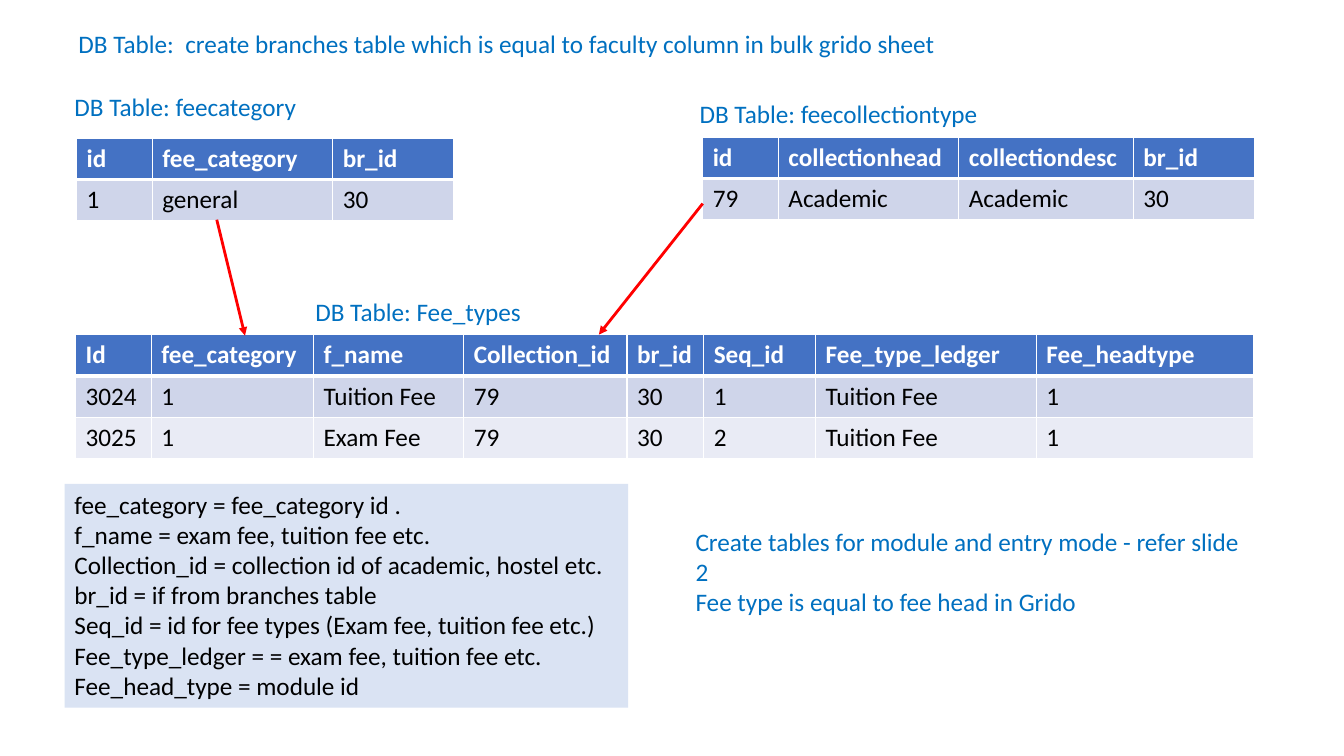
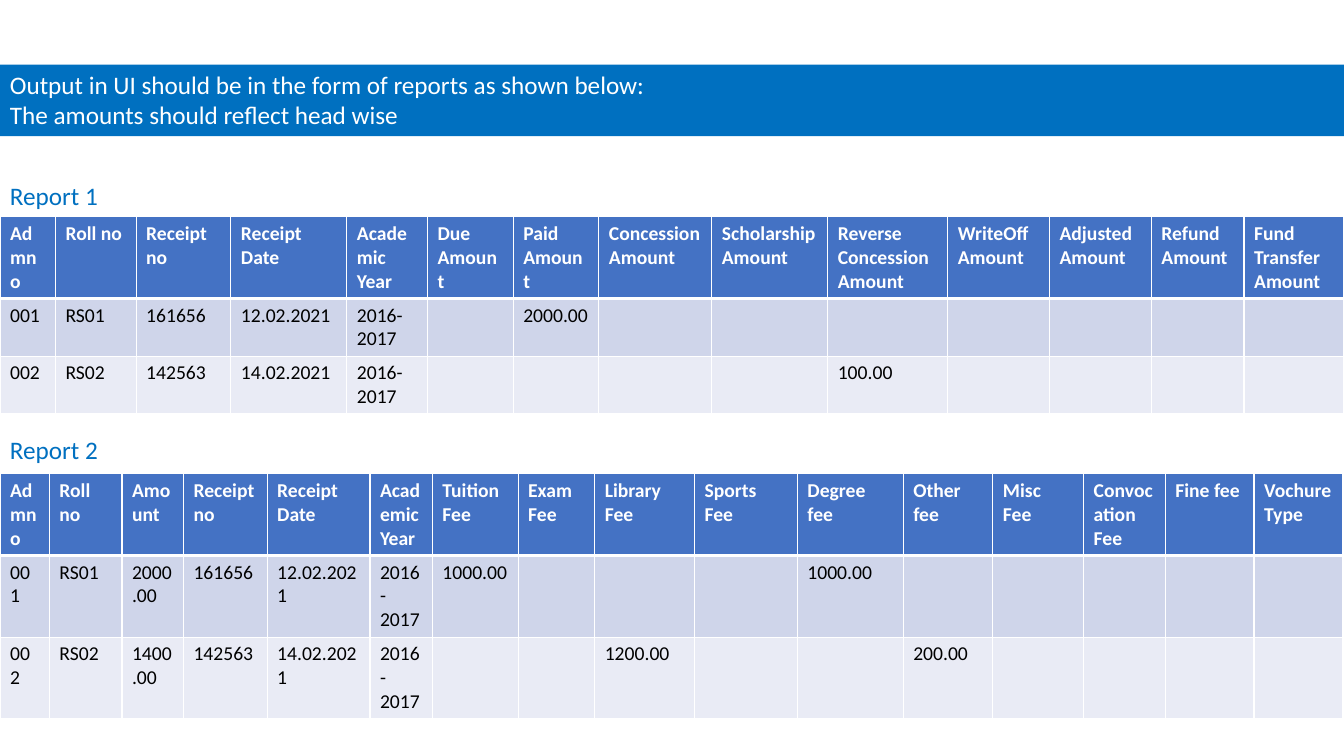
from lxml.etree import SubElement
from pptx import Presentation
from pptx.dml.color import RGBColor
from pptx.enum.shapes import MSO_CONNECTOR
from pptx.enum.text import MSO_ANCHOR, MSO_AUTO_SIZE
from pptx.oxml.ns import qn
from pptx.util import Inches, Pt

COLORS = {
    "white": "FFFFFF", "black": "000000", "blue": "0070C0", "pale": "DAE3F3",
    "header": "4472C4", "odd": "CFD5EA", "even": "E9EBF5", "arrow": "FF0000",
}
FONT = "Calibri"
HEADER_FORMAT = {"color": "white", "bold": True}
BODY_FORMAT = {"color": "black", "bold": False}
MIDDLE = MSO_ANCHOR.MIDDLE
ROW = 0.41

SCHEMA = {
    "tables": [
        {"left": 0.75, "top": 3.32, "heights": [ROW] * 3,
         "widths": [0.75, 1.61, 1.49, 1.62, 0.76, 1.11, 2.19, 2.15],
         "rows": [
             ["Id", "fee_category", "f_name", "Collection_id", "br_id", "Seq_id",
              "Fee_type_ledger", "Fee_headtype"],
             ["3024", "1", "Tuition Fee", "79", "30", "1", "Tuition Fee", "1"],
             ["3025", "1", "Exam Fee", "79", "30", "2", "Tuition Fee", "1"]]},
        {"left": 6.97, "top": 1.36, "heights": [ROW] * 2, "anchor": MIDDLE,
         "widths": [0.75, 1.79, 1.73, 1.2],
         "rows": [["id", "collectionhead", "collectiondesc", "br_id"],
                  ["79", "Academic", "Academic", "30"]]},
        {"left": 0.76, "top": 1.37, "heights": [ROW] * 2, "anchor": MIDDLE,
         "widths": [0.75, 1.79, 1.2],
         "rows": [["id", "fee_category", "br_id"], ["1", "general", "30"]]},
    ],
    "texts": [
        {"at": (3.03, 2.89, 2.3, 0.4), "lines": ["DB Table: Fee_types"]},
        {"at": (6.84, 0.93, 3.05, 0.4), "lines": ["DB Table: feecollectiontype"]},
        {"at": (0.64, 0.86, 2.47, 0.4), "lines": ["DB Table: feecategory"]},
        {"at": (0.68, 0.23, 8.79, 0.71), "wrap": True, "lines": [
            "DB Table:  create branches table which is equal to faculty column "
            "in bulk grido sheet"]},
        {"at": (6.8, 5.17, 5.62, 1.01), "wrap": True, "lines": [
            "Create tables for module and entry mode - refer slide 2",
            "Fee type is equal to fee head in Grido"]},
        {"at": (0.64, 4.8, 5.59, 2.22), "fill": "pale", "color": "black", "lines": [
            "fee_category = fee_category id .",
            "f_name = exam fee, tuition fee etc.",
            "Collection_id = collection id of academic, hostel etc.",
            "br_id = if from branches table",
            "Seq_id = id for fee types (Exam fee, tuition fee etc.)",
            "Fee_type_ledger = = exam fee, tuition fee etc.",
            "Fee_head_type = module id"]},
    ],
    "arrows": [(6.97, 2.02, 5.94, 3.32), (2.15, 2.18, 2.43, 3.33)],
}

# Report rows map a column heading to its value; other cells stay empty.
FIRST = {"Admno": "001", "Roll no": "RS01", "Receipt no": "161656",
         "Receipt Date": "12.02.2021", "Academic Year": "2016-2017"}
SECOND = {"Admno": "002", "Roll no": "RS02", "Receipt no": "142563",
          "Receipt Date": "14.02.2021", "Academic Year": "2016-2017"}


def report_rows(headings, *records):
    return [headings] + [[record.get(name, "") for name in headings] for record in records]


REPORTS = {
    "tables": [
        {"left": 0, "top": 2.15, "heights": [0.79, 0.57, 0.57], "size": 14,
         "widths": [0.55, 0.8, 0.94, 1.15, 0.8, 0.85, 0.85, 1.12, 1.15, 1.19,
                    1.01, 1.01, 0.92, 0.99],
         "rows": report_rows(
             ["Admno", "Roll no", "Receipt no", "Receipt Date", "Academic Year",
              "Due Amount", "Paid Amount", "Concession Amount", "Scholarship Amount",
              "Reverse Concession Amount", "WriteOff Amount", "Adjusted Amount",
              "Refund Amount", "Fund Transfer Amount"],
             {**FIRST, "Paid Amount": "2000.00"},
             {**SECOND, "Reverse Concession Amount": "100.00"})},
        {"left": 0, "top": 4.7, "heights": [0.8] * 3, "size": 14,
         "widths": [0.49, 0.72, 0.61, 0.83, 1.02, 0.62, 0.85, 0.76, 0.99, 1.02,
                    1.05, 0.89, 0.9, 0.81, 0.88, 0.88],
         "rows": report_rows(
             ["Admno", "Roll no", "Amount", "Receipt no", "Receipt Date",
              "Academic Year", "Tuition Fee", "Exam Fee", "Library Fee", "Sports Fee",
              "Degree fee", "Other fee", "Misc Fee", "Convocation Fee", "Fine fee",
              "Vochure Type"],
             {**FIRST, "Amount": "2000.00", "Tuition Fee": "1000.00",
              "Degree fee": "1000.00"},
             {**SECOND, "Amount": "1400.00", "Library Fee": "1200.00",
              "Other fee": "200.00"})},
    ],
    "texts": [
        {"at": (0, 0.64, 13.33, 0.71), "fill": "blue", "color": "white", "wrap": True,
         "lines": ["Output in UI should be in the form of reports as shown below:",
                   "The amounts should reflect head wise"]},
        {"at": (0, 1.74, 1.08, 0.4), "lines": ["Report 1"]},
        {"at": (0, 4.26, 1.08, 0.4), "lines": ["Report 2"]},
    ],
    "arrows": [],
}


def rgb(name):
    return RGBColor.from_string(COLORS[name])


def fill_with(target, color):
    target.fill.solid()
    target.fill.fore_color.rgb = rgb(color)


def style_font(font, color, size=18, bold=False):
    for name, value in {"name": FONT, "size": Pt(size), "bold": bold}.items():
        setattr(font, name, value)
    font.color.rgb = rgb(color)


def add_text(page, at, lines, color="blue", fill=None, wrap=False):
    box = page.shapes.add_textbox(*map(Inches, at))
    if fill:
        fill_with(box, fill)
    frame = box.text_frame
    frame.word_wrap = wrap
    frame.auto_size = MSO_AUTO_SIZE.SHAPE_TO_FIT_TEXT
    frame.text = "\n".join(lines)
    for para in frame.paragraphs:
        for span in para.runs:
            style_font(span.font, color)


def add_borders(cell, row):
    """White cell edges, with a thick rule between the header and the body."""
    widths = {"L": 1, "R": 1, "T": 3 if row == 1 else 1, "B": 3 if row == 0 else 1}
    properties = cell._tc.get_or_add_tcPr()
    for side, width in widths.items():
        edge = SubElement(properties, qn(f"a:ln{side}"), w=str(Pt(width)))
        paint = SubElement(edge, qn("a:solidFill"))
        SubElement(paint, qn("a:srgbClr"), val=COLORS["white"])


def add_grid(page, left, top, widths, heights, rows, size=18, anchor=MSO_ANCHOR.TOP):
    area = (left, top, sum(widths), sum(heights))
    table = page.shapes.add_table(len(rows), len(widths), *map(Inches, area)).table
    for column, width in zip(table.columns, widths):
        column.width = Inches(width)
    for number, (values, height) in enumerate(zip(rows, heights)):
        table.rows[number].height = Inches(height)
        fill = "header" if number == 0 else ("even", "odd")[number % 2]
        text_format = BODY_FORMAT if number else HEADER_FORMAT
        for position, value in enumerate(values):
            cell = table.cell(number, position)
            cell.vertical_anchor = anchor
            add_borders(cell, number)
            fill_with(cell, fill)
            para = cell.text_frame.paragraphs[0]
            if value:
                span = para.add_run()
                span.text = value
                style_font(span.font, size=size, **text_format)
            else:
                para.font.size = Pt(size)


def add_arrow(page, ends):
    arrow = page.shapes.add_connector(MSO_CONNECTOR.STRAIGHT, *map(Inches, ends))
    arrow.line.color.rgb = rgb("arrow")
    arrow.line.width = Pt(2)
    SubElement(arrow.line._get_or_add_ln(), qn("a:tailEnd"), type="triangle")
    SubElement(arrow._element.spPr, qn("a:effectLst"))


def main():
    deck = Presentation()
    deck.slide_width, deck.slide_height = Inches(13.33), Inches(7.5)
    for content in (SCHEMA, REPORTS):
        page = deck.slides.add_slide(deck.slide_layouts[6])
        for table in content["tables"]:
            add_grid(page, **table)
        for text in content["texts"]:
            add_text(page, **text)
        for ends in content["arrows"]:
            add_arrow(page, ends)
    deck.save("out.pptx")


if __name__ == "__main__":
    main()
